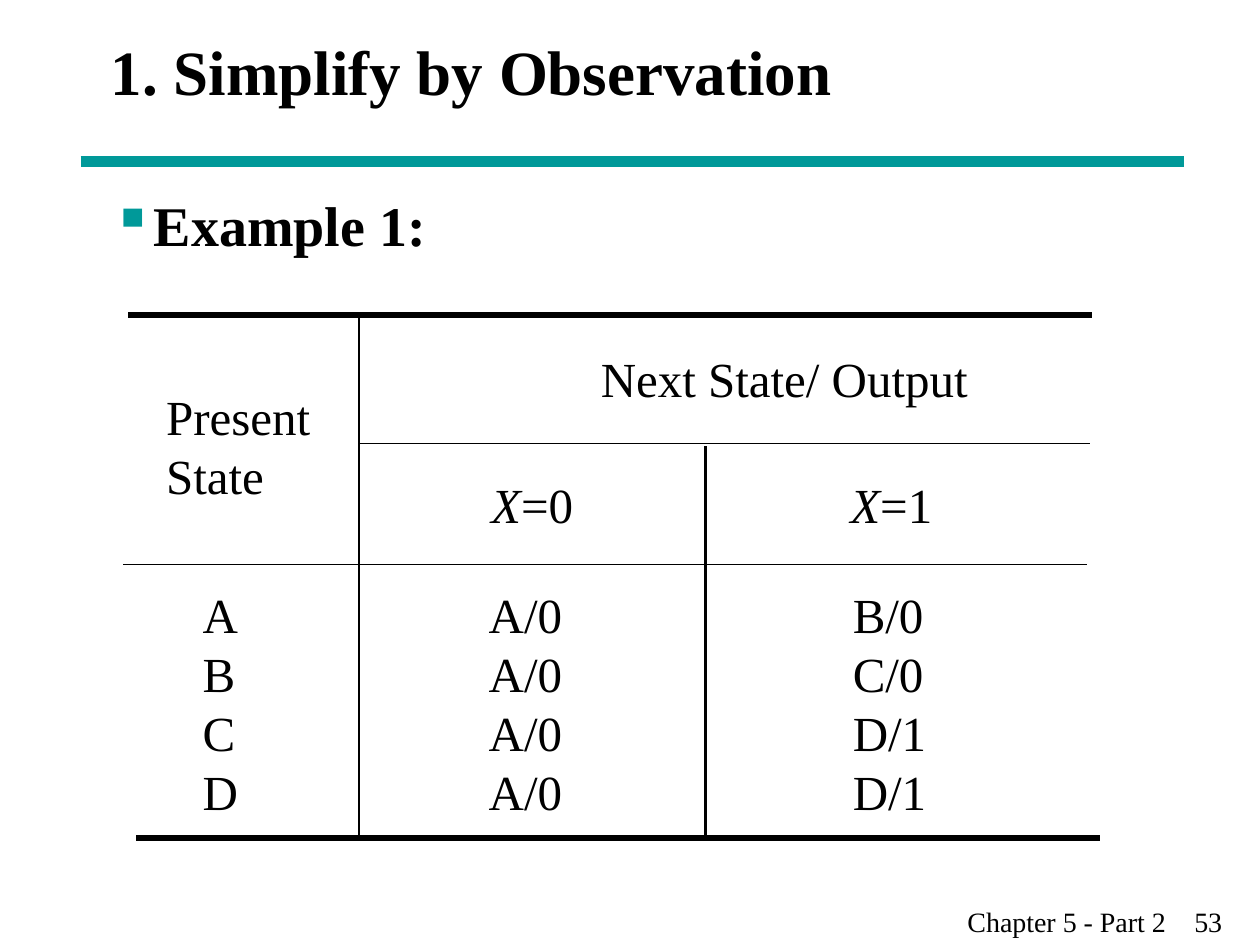
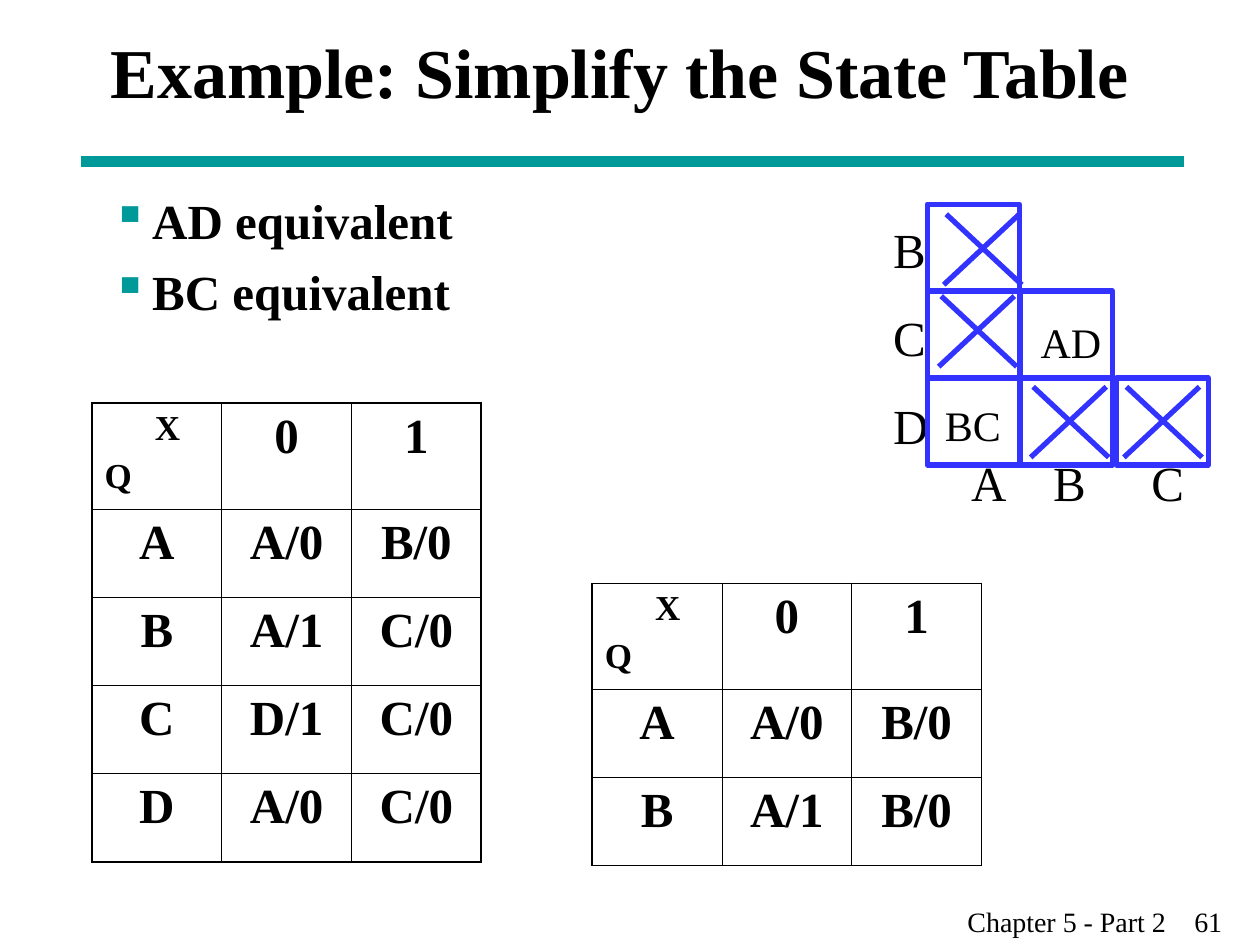
from lxml.etree import SubElement as Sub
from pptx import Presentation
from pptx.dml.color import RGBColor
from pptx.enum.shapes import MSO_CONNECTOR as Conn, MSO_SHAPE as Kind
from pptx.enum.text import MSO_ANCHOR as Anchor, PP_ALIGN as Align
from pptx.oxml.ns import qn
from pptx.util import Inches, Pt

FONT = "Times New Roman"
INK, TEAL, BLUE = "000000", "009999", "3333FF"
CHAPTER = "Chapter 5 - Part 2"

RULES = [
    (1.02, 2.5, 8.67, 2.5, 3),
    (1.08, 6.65, 8.73, 6.65, 3),
    (2.85, 2.5, 2.85, 6.67, 1.5),
    (5.6, 3.54, 5.6, 6.65, 1.5),
    (2.85, 3.52, 8.65, 3.52, 1),
    (0.98, 4.48, 8.63, 4.48, 1),
]
HEADS = [
    (4.67, 2.72, 3.11, "Next State/ Output"),
    (3.8, 3.72, 0.85, ("X", "=0")),
    (6.65, 3.72, 0.85, ("X", "=1")),
]
STATES = [
    (1.51, 0.48, ["A", "B", "C", "D"]),
    (3.78, 0.78, ["A/0", "A/0", "A/0", "A/0"]),
    (6.67, 0.78, ["B/0", "C/0", "D/1", "D/1"]),
]

FULL = [
    ("X\nQ", "0", "1"),
    ("A", "A/0", "B/0"),
    ("B", "A/1", "C/0"),
    ("C", "D/1", "C/0"),
    ("D", "A/0", "C/0"),
]
SHORT = [
    ("X\nQ", "0", "1"),
    ("A", "A/0", "B/0"),
    ("B", "A/1", "B/0"),
]

STAIR = [7.36, 8.1, 8.86]
TOP, WIDE, HIGH = 1.62, 0.73, 0.69
SIDE = ["B", "C", "D"]
FOOT = [("A", 7.61), ("B", 8.26), ("C", 9.04)]
CROSSES = [(7.45, 2.35), (7.49, 1.7), (8.18, 3.07), (8.92, 3.07)]
PAIRS = [("BC", 7.4, 3.12), ("AD", 8.16, 2.46)]


def color(code):
    return RGBColor.from_string(code)


def style(para, size, bold=False):
    for run in para.runs:
        font = run.font
        font.name, font.size, font.bold = FONT, Pt(size), bold
        font.color.rgb = color(INK)


def text(slide, x, y, w, h, lines, size, bold=False, wrap=False):
    box = slide.shapes.add_textbox(Inches(x), Inches(y), Inches(w), Inches(h))
    frame = box.text_frame
    frame.word_wrap = wrap
    for i, line in enumerate(lines):
        para = frame.paragraphs[0] if i == 0 else frame.add_paragraph()
        if isinstance(line, tuple):
            for part in line:
                para.add_run().text = part
            para.runs[0].font.italic = True
        else:
            para.text = line
        style(para, size, bold)
    return frame


def line(slide, x1, y1, x2, y2, width, code=INK):
    ends = [Inches(v) for v in (x1, y1, x2, y2)]
    rule = slide.shapes.add_connector(Conn.STRAIGHT, *ends)
    rule.line.color.rgb = color(code)
    rule.line.width = Pt(width)
    Sub(rule._element.spPr, qn("a:effectLst"))


def bullets(slide, lines, size, gap):
    frame = text(slide, 0.79, 1.46, 8.5, 5.48, lines, size, True, True)
    for i, para in enumerate(frame.paragraphs):
        props = para._p.get_or_add_pPr()
        props.set("marL", str(Inches(0.32)))
        props.set("indent", str(-Inches(0.32)))
        Sub(Sub(props, qn("a:buClr")), qn("a:srgbClr"), val=TEAL)
        Sub(props, qn("a:buChar"), char="▪")
        if i:
            para.space_before = Pt(gap)


def page(deck, title, size, number):
    slide = deck.slides.add_slide(deck.slide_layouts[6])
    line(slide, 0.64, 1.28, 9.4, 1.28, 6, TEAL)
    head = text(slide, 0.78, 0, 8.5, 1.12, [title], size, True, True)
    head.vertical_anchor = Anchor.MIDDLE
    foot = text(slide, 7.58, 7.13, 2.42, 0.37, [f"{CHAPTER}\t{number}"], 16, wrap=True)
    tabs = Sub(foot.paragraphs[0]._p.get_or_add_pPr(), qn("a:tabLst"))
    Sub(tabs, qn("a:tab"), pos=str(Inches(1.8)), algn="l")
    return slide


def edges(cell, outer):
    props = cell._tc.get_or_add_tcPr()
    for side, out in zip("LRTB", outer):
        edge = Sub(props, qn(f"a:ln{side}"), w=str(Pt(1.08 if out else 0.45)))
        Sub(Sub(edge, qn("a:solidFill")), qn("a:srgbClr"), val=INK)
    cell.fill.background()


def grid(slide, x, y, rows):
    count, span = len(rows), len(rows[0])
    highs = [0.84] + [0.7] * (count - 1)
    table = slide.shapes.add_table(count, span, Inches(x), Inches(y),
                                   Inches(1.03 * span), Inches(sum(highs))).table
    table.first_row = table.horz_banding = False
    for col in table.columns:
        col.width = Inches(1.03)
    for r, row in enumerate(rows):
        table.rows[r].height = Inches(highs[r])
        for c, word in enumerate(row):
            cell = table.cell(r, c)
            cell.text_frame.text = word
            for para in cell.text_frame.paragraphs:
                para.alignment = Align.CENTER
                style(para, 28 if r or c else 20, True)
            edges(cell, (c == 0, c == span - 1, r == 0, r == count - 1))
    first, last = table.cell(0, 0).text_frame.paragraphs
    first._p.get_or_add_pPr().set("marL", str(Inches(0.17)))
    last.alignment = Align.LEFT
    last.space_before = Pt(5)


def chart(slide):
    for word, x in FOOT:
        text(slide, x, 3.54, 0.47, 0.57, [word], 28)
    for r, word in enumerate(SIDE):
        text(slide, 6.99, 1.69 + 0.7 * r, 0.47, 0.57, [word], 28)
        for x in STAIR[:r + 1]:
            box = slide.shapes.add_shape(Kind.RECTANGLE, Inches(x), Inches(TOP + HIGH * r),
                                         Inches(WIDE), Inches(HIGH))
            box.shadow.inherit = False
            box.fill.background()
            box.line.color.rgb = color(BLUE)
            box.line.width = Pt(3)
    for x, y in CROSSES:
        line(slide, x + 0.02, y, x + 0.62, y + 0.56, 3, BLUE)
        line(slide, x + 0.6, y, x, y + 0.56, 3, BLUE)
    for word, x, y in PAIRS:
        text(slide, x, y, 0.68, 0.5, [word], 24)


def main():
    deck = Presentation()
    deck.slide_width, deck.slide_height = Inches(10), Inches(7.5)

    slide = page(deck, "1. Simplify by Observation", 36, 53)
    bullets(slide, ["Example 1:"], 32, 8)
    for rule in RULES:
        line(slide, *rule)
    text(slide, 1.22, 3.02, 1.39, 1.04, ["Present State"], 28, wrap=True)
    for x, y, w, word in HEADS:
        text(slide, x, y, w, 0.57, [word], 28)
    for x, w, words in STATES:
        text(slide, x, 4.59, w, 1.97, words, 28)

    slide = page(deck, "Example: Simplify the State Table", 40, 61)
    bullets(slide, ["AD equivalent", "BC equivalent"], 28, 7)
    chart(slide)
    grid(slide, 0.73, 3.2, FULL)
    grid(slide, 4.7, 4.63, SHORT)
    deck.save("out.pptx")


if __name__ == "__main__":
    main()
